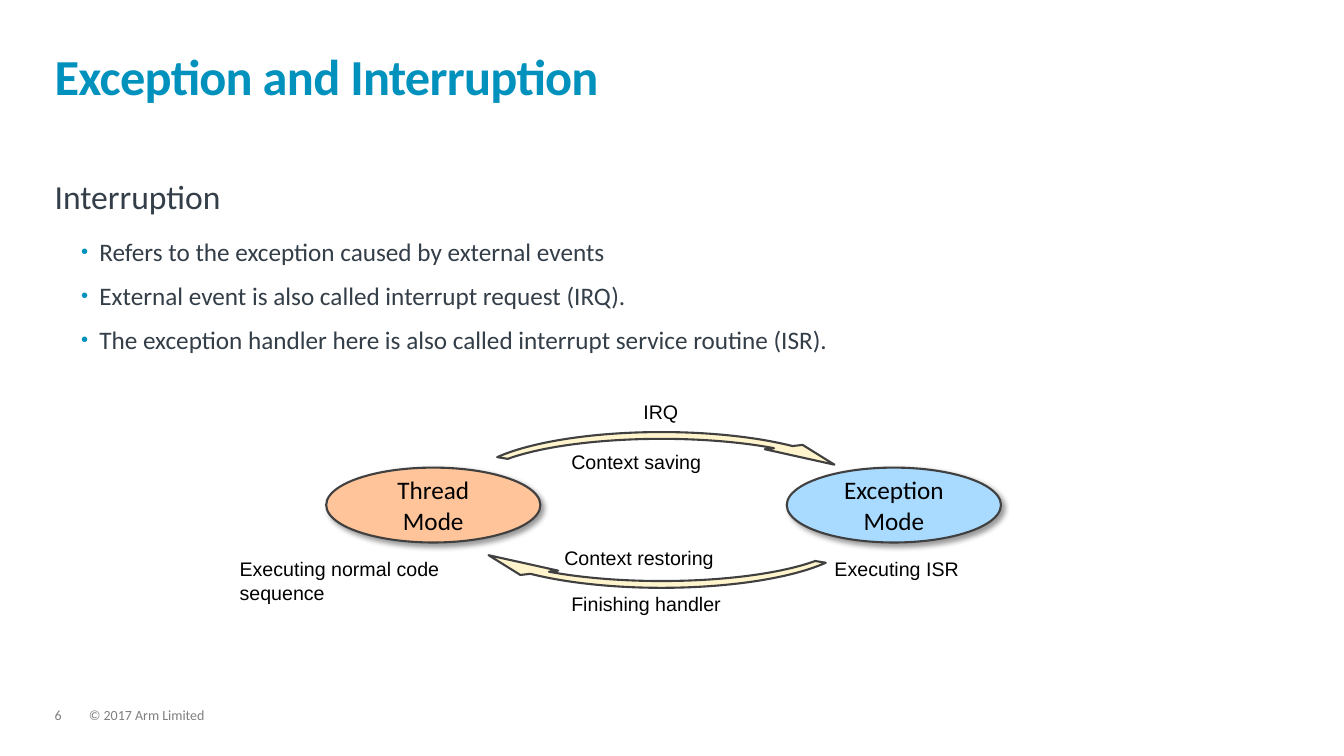
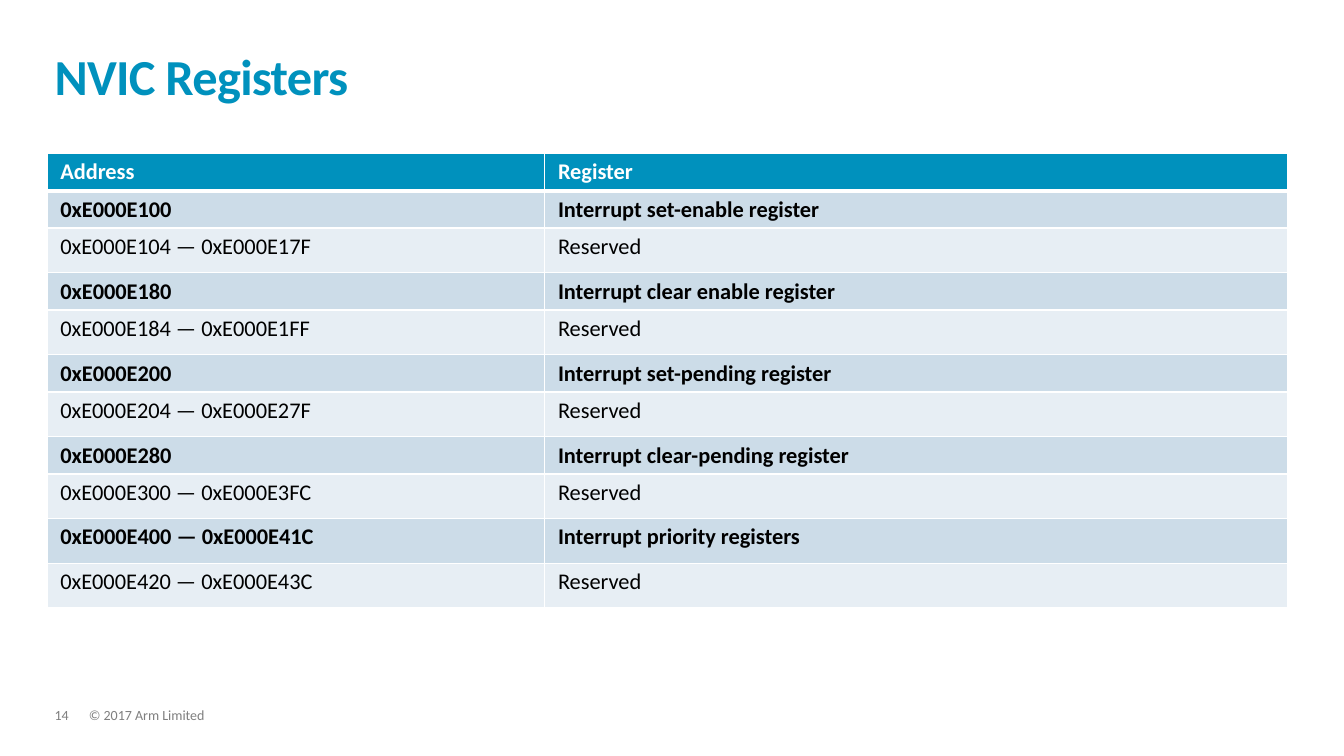
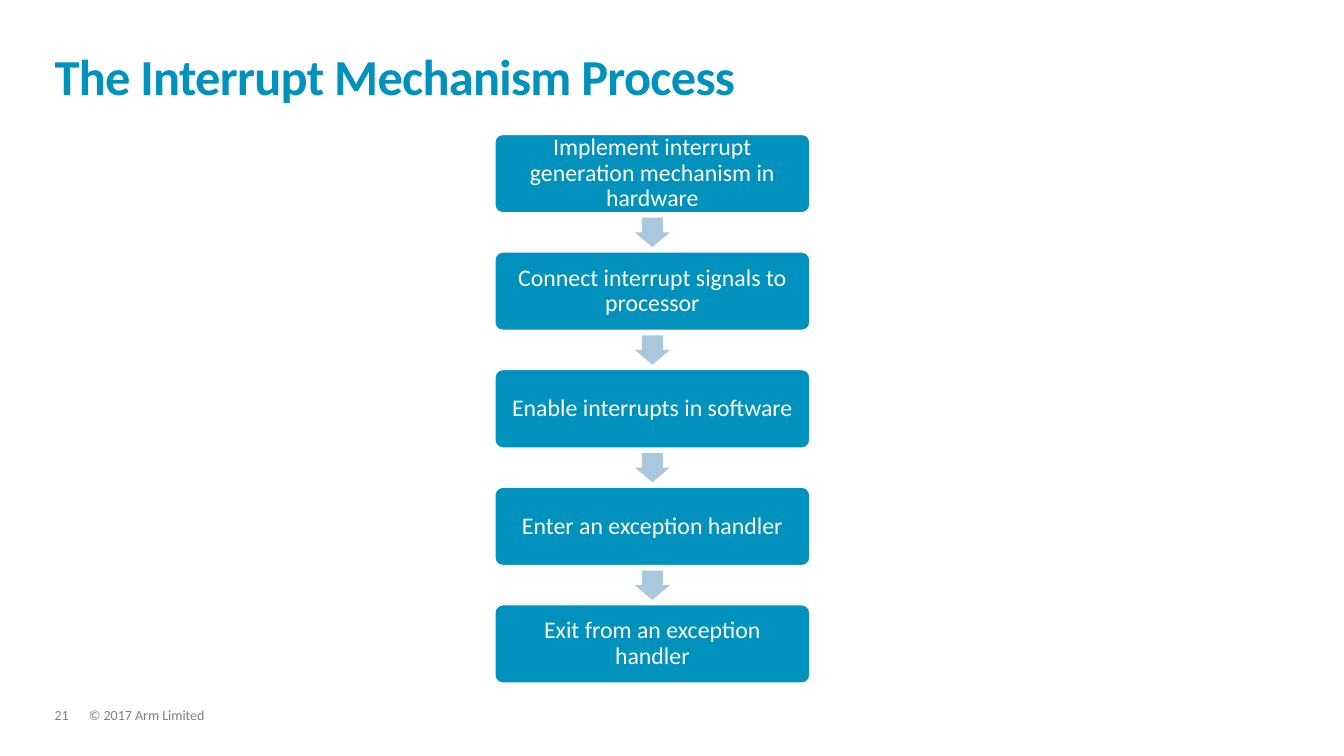
from collections import namedtuple
from dataclasses import dataclass

from lxml.etree import SubElement
from pptx import Presentation
from pptx.dml.color import RGBColor
from pptx.enum.shapes import MSO_SHAPE
from pptx.enum.text import MSO_ANCHOR, PP_ALIGN
from pptx.oxml.ns import qn
from pptx.util import Pt

Box = namedtuple("Box", "left top width height")


@dataclass(frozen=True)
class Theme:
    accent: str = "0091BD"
    body: str = "333E48"
    muted: str = "7F7F7F"
    black: str = "000000"
    white: str = "FFFFFF"
    outline: str = "404040"
    thread: str = "FFC499"
    exception: str = "A8DBFF"
    transition: str = "FFF4CC"
    step_arrow: str = "ABC7DB"
    band_dark: str = "CCDCE8"
    band_light: str = "E7EEF4"
    font: str = "Calibri"
    label_font: str = "Arial"
    title_size: int = 36
    heading_size: int = 24
    bullet_size: int = 18
    step_size: int = 17
    cell_size: int = 16
    label_size: int = 14
    footer_size: int = 10


THEME = Theme()
SLIDE_WIDTH, SLIDE_HEIGHT = 960, 540
TITLE_BOX = Box(39, 23, 881, 52.5)
NUMBER_BOX = Box(39, 506, 24, 11)
COPYRIGHT_BOX = Box(63.5, 506, 657, 11)


def rgb(color):
    return RGBColor.from_string(color)


def points(box):
    return [Pt(length) for length in box]


def style(paragraph, size, color, font=THEME.font, bold=False, line=None, after=None):
    paragraph.font.name = font
    paragraph.font.size = Pt(size)
    paragraph.font.bold = bold
    paragraph.font.color.rgb = rgb(color)
    if line:
        paragraph.line_spacing = line
    if after:
        paragraph.space_after = Pt(after)


def set_margins(target, horizontal, vertical):
    target.margin_left = target.margin_right = Pt(horizontal)
    target.margin_top = target.margin_bottom = Pt(vertical)


def add_text(slide, box, text, size, color, margins=(0, 0), **options):
    frame = slide.shapes.add_textbox(*points(box)).text_frame
    frame.word_wrap = True
    set_margins(frame, *margins)
    frame.text = text
    style(frame.paragraphs[0], size, color, **options)
    return frame


def add_filled(slide, preset, box, fill, line=None, line_width=1, adjustments=()):
    shape = slide.shapes.add_shape(preset, *points(box))
    shape.shadow.inherit = False
    shape.fill.solid()
    shape.fill.fore_color.rgb = rgb(fill)
    if line:
        shape.line.color.rgb = rgb(line)
        shape.line.width = Pt(line_width)
    else:
        shape.line.fill.background()
    for index, value in enumerate(adjustments):
        shape.adjustments[index] = value
    return shape


def add_base(deck, title, number):
    """Blank slide with the shared title and footer."""
    slide = deck.slides.add_slide(deck.slide_layouts[6])
    frame = add_text(slide, TITLE_BOX, title, THEME.title_size, THEME.accent,
                     bold=True, line=0.85)
    frame.vertical_anchor = MSO_ANCHOR.BOTTOM
    frame.paragraphs[0].runs[0].font.size = Pt(THEME.title_size)
    frame.paragraphs[0].runs[0]._r.get_or_add_rPr().set("spc", "-50")
    for box, text in ((NUMBER_BOX, str(number)), (COPYRIGHT_BOX, "© 2017 Arm Limited")):
        add_text(slide, box, text, THEME.footer_size, THEME.muted, line=0.9)
    return slide


# Slide 1: heading with bullets, and the mode diagram
def add_bullet(paragraph):
    properties = paragraph._p.get_or_add_pPr()
    properties.set("marL", str(Pt(32)))
    properties.set("indent", str(Pt(-13)))
    properties.set("lvl", "1")
    color = SubElement(properties, qn("a:buClr"))
    SubElement(color, qn("a:srgbClr"), val=THEME.accent)
    SubElement(properties, qn("a:buSzPct"), val="80000")
    SubElement(properties, qn("a:buFont"), typeface="Arial")
    SubElement(properties, qn("a:buChar"), char="•")


def add_outline(slide, box, heading, bullets):
    frame = add_text(slide, box, heading, THEME.heading_size, THEME.body,
                     line=0.9, after=16)
    for text in bullets:
        paragraph = frame.add_paragraph()
        paragraph.text = text
        add_bullet(paragraph)
        style(paragraph, THEME.bullet_size, THEME.body, line=0.9, after=12)


def add_drop_shadow(shape):
    effects = shape._element.spPr.find(qn("a:effectLst"))
    shadow = SubElement(effects, qn("a:outerShdw"), blurRad=str(Pt(4)),
                        dist=str(Pt(3)), dir="2700000", algn="tl", rotWithShape="0")
    color = SubElement(shadow, qn("a:srgbClr"), val=THEME.black)
    SubElement(color, qn("a:alpha"), val="40000")


def add_mode(slide, box, words, fill):
    mode = add_filled(slide, MSO_SHAPE.OVAL, box, fill, THEME.outline, 1.5)
    add_drop_shadow(mode)
    frame = mode.text_frame
    frame.word_wrap = False
    frame.vertical_anchor = MSO_ANCHOR.MIDDLE
    frame.text = "\n".join(words)
    for paragraph in frame.paragraphs:
        paragraph.alignment = PP_ALIGN.CENTER
        style(paragraph, THEME.bullet_size, THEME.black)


def add_mode_diagram(slide, area):
    def within(left, top, width, height):
        return Box(area.left + left, area.top + top, width, height)

    # Modes
    for left, name, fill in ((69, "Thread", THEME.thread),
                             (398, "Exception", THEME.exception)):
        add_mode(slide, within(left, 52, 153, 53.5), (name, "Mode"), fill)

    # Transitions between the modes
    for top, rotation in ((15.5, 0), (52, 180)):
        transition = add_filled(slide, MSO_SHAPE.CIRCULAR_ARROW,
                                within(160, top, 297, 97), THEME.transition,
                                THEME.outline, 1.5,
                                (0.05, 6.28, 205.83, 113.64, 0.14))
        transition.rotation = rotation

    # Labels
    labels = (
        ("IRQ", 267, 0, 82, PP_ALIGN.CENTER),
        ("Executing ISR", 425, 112.5, 139, PP_ALIGN.LEFT),
        ("Executing normal code sequence", 0, 112.5, 181, PP_ALIGN.LEFT),
        ("Finishing handler", 237, 137, 180, PP_ALIGN.LEFT),
        ("Context saving", 237, 36, 180, PP_ALIGN.LEFT),
        ("Context restoring", 232, 104.5, 180, PP_ALIGN.LEFT),
    )
    for text, left, top, width, alignment in labels:
        frame = add_text(slide, within(left, top, width, 24), text, THEME.label_size,
                         THEME.black, margins=(7.2, 3.6), font=THEME.label_font)
        frame.paragraphs[0].alignment = alignment


# Slide 2: register table
def add_borders(cell, top, bottom):
    properties = cell._tc.get_or_add_tcPr()
    for side, width in (("L", 1), ("R", 1), ("T", top), ("B", bottom)):
        border = SubElement(properties, qn(f"a:ln{side}"), w=str(Pt(width)))
        fill = SubElement(border, qn("a:solidFill"))
        SubElement(fill, qn("a:srgbClr"), val=THEME.white)


def add_register_table(slide, box, header, registers):
    rows = [header, *registers]
    table = slide.shapes.add_table(len(rows), 2, *points(box)).table
    address_width = 355.5
    for column, width in zip(table.columns, (address_width, box.width - address_width)):
        column.width = Pt(width)
    for index, row in enumerate(rows):
        is_header = index == 0
        is_named = row[1] != "Reserved"
        is_tall = not is_named or index == len(rows) - 2
        table.rows[index].height = Pt(31.9 if is_tall else 26.7)
        if is_header:
            fill = THEME.accent
        else:
            fill = THEME.band_dark if is_named else THEME.band_light
        for cell, text in zip(table.rows[index].cells, row):
            add_borders(cell, 3 if index == 1 else 1, 3 if is_header else 1)
            cell.fill.solid()
            cell.fill.fore_color.rgb = rgb(fill)
            set_margins(cell, 9.6, 3.6)
            cell.text = text
            style(cell.text_frame.paragraphs[0], THEME.cell_size,
                  THEME.white if is_header else THEME.black, bold=is_named)


# Slide 3: vertical process
def add_process(slide, box, steps):
    step_height, arrow_width, arrow_height = 56, 25, 21
    pitch = (box.height - step_height) / (len(steps) - 1)
    gap = pitch - step_height
    for index, text in enumerate(steps):
        top = box.top + index * pitch
        step = add_filled(slide, MSO_SHAPE.ROUNDED_RECTANGLE,
                          Box(box.left, top, box.width, step_height),
                          THEME.accent, THEME.white, 1, (0.1,))
        frame = step.text_frame
        frame.word_wrap = True
        frame.vertical_anchor = MSO_ANCHOR.MIDDLE
        set_margins(frame, 5, 5)
        frame.text = text
        frame.paragraphs[0].alignment = PP_ALIGN.CENTER
        style(frame.paragraphs[0], THEME.step_size, THEME.white, line=0.9)
        if index < len(steps) - 1:
            add_filled(slide, MSO_SHAPE.DOWN_ARROW,
                       Box(box.left + (box.width - arrow_width) / 2,
                           top + step_height + (gap - arrow_height) / 2,
                           arrow_width, arrow_height),
                       THEME.step_arrow, adjustments=(0.6, 0.5))


def main():
    deck = Presentation()
    deck.slide_width, deck.slide_height = Pt(SLIDE_WIDTH), Pt(SLIDE_HEIGHT)

    interruption = add_base(deck, "Exception and Interruption", 6)
    add_outline(interruption, Box(39, 129, 881, 322), "Interruption", (
        "Refers to the exception caused by external events",
        "External event is also called interrupt request (IRQ).",
        "The exception handler here is also called interrupt service routine (ISR).",
    ))
    add_mode_diagram(interruption, Box(164, 282, 564, 161))

    registers = add_base(deck, "NVIC Registers", 14)
    add_register_table(registers, Box(33.5, 109.5, 886, 323), ("Address", "Register"), (
        ("0xE000E100", "Interrupt set-enable register"),
        ("0xE000E104 — 0xE000E17F", "Reserved"),
        ("0xE000E180", "Interrupt clear enable register"),
        ("0xE000E184 — 0xE000E1FF", "Reserved"),
        ("0xE000E200", "Interrupt set-pending register"),
        ("0xE000E204 — 0xE000E27F", "Reserved"),
        ("0xE000E280", "Interrupt clear-pending register"),
        ("0xE000E300 — 0xE000E3FC", "Reserved"),
        ("0xE000E400 — 0xE000E41C", "Interrupt priority registers"),
        ("0xE000E420 — 0xE000E43C", "Reserved"),
    ))

    process = add_base(deck, "The Interrupt Mechanism Process", 21)
    add_process(process, Box(353.5, 96, 225, 392), (
        "Implement interrupt generation mechanism in hardware",
        "Connect interrupt signals to processor",
        "Enable interrupts in software",
        "Enter an exception handler",
        "Exit from an exception handler",
    ))

    deck.save("out.pptx")


if __name__ == "__main__":
    main()
